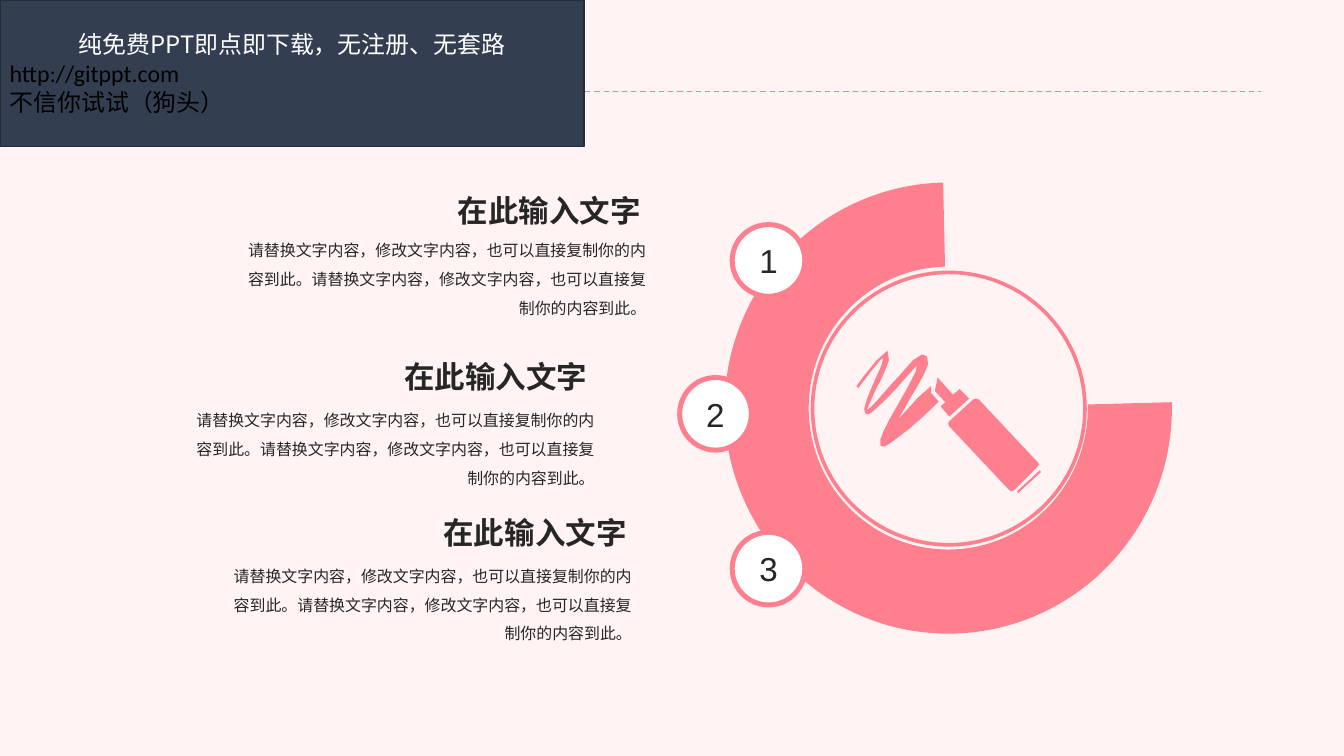
from lxml import etree
from pptx import Presentation
from pptx.dml.color import RGBColor
from pptx.enum.dml import MSO_LINE
from pptx.enum.shapes import MSO_CONNECTOR, MSO_SHAPE
from pptx.enum.text import MSO_ANCHOR, MSO_AUTO_SIZE, PP_ALIGN
from pptx.oxml.ns import qn
from pptx.util import Inches, Pt

BLUSH = RGBColor(0xFF, 0xF4, 0xF3)
CORAL = RGBColor(0xFE, 0x7F, 0x8D)
INK = RGBColor(0x26, 0x26, 0x26)
NAVY = RGBColor(0x33, 0x3F, 0x50)
NAVY_EDGE = RGBColor(0x23, 0x2C, 0x38)
WHITE = RGBColor(0xFF, 0xFF, 0xFF)
BLACK = RGBColor(0x00, 0x00, 0x00)

CJK_FONT = "Noto Sans CJK SC"
HEADING = "在此输入文字"
BODY = "请替换文字内容，修改文字内容，也可以直接复制你的内容到此。" * 2

BANNER_LINES = [
    ("纯免费PPT即点即下载，无注册、无套路", CJK_FONT, WHITE, PP_ALIGN.CENTER),
    ("http://gitppt.com", "Calibri", BLACK, PP_ALIGN.LEFT),
    ("不信你试试（狗头）", "Calibri", BLACK, PP_ALIGN.LEFT),
]
ITEMS = [
    ((4.69, 1.96), (2.41, 2.37)),
    ((4.13, 3.7), (1.87, 4.15)),
    ((4.54, 5.33), (2.26, 5.78)),
]
BADGES = [
    (0.08, 0.44, 0.76, 0.75),
    (-0.47, 2.04, 0.75, 0.76),
    (0.08, 3.66, 0.76, 0.76),
]

CURVE_STEPS = 4
SCRIBBLE = [
    (0, 61), (0, 61, 43, 0, 34, 34), (31, 42, 27, 53, 21, 63),
    (16, 74, 11, 85, 11, 86), (11, 86, 13, 85, 17, 81),
    (25, 73, 35, 60, 45, 50), (67, 21, 76, 24, 75, 38),
    (72, 50, 57, 71, 50, 85), (29, 117, 63, 70, 78, 61),
    (78, 68), (86, 77), (86, 77, 63, 102, 35, 121),
    (29, 125, 27, 125, 25, 123), (22, 118, 32, 100, 43, 81),
    (56, 59, 79, 17, 50, 54), (40, 66, 29, 77, 20, 85),
    (14, 91, 10, 92, 9, 89), (6, 86, 11, 74, 17, 60),
    (21, 50, 27, 40, 28, 32), (31, 24, 2, 63, 2, 63),
]
BARREL = [
    (97, 98), (122, 75), (125, 74), (128, 75), (190, 141), (191, 143),
    (189, 146), (165, 170), (162, 171), (160, 170), (97, 103), (96, 100),
]
TIP = [(85, 52), (82, 66), (93, 78), (88, 82),
       (97, 93), (118, 74), (108, 64), (101, 70)]
CAP = [(168, 171), (169, 173), (193, 151), (192, 149)]


def add_span(para, text, font, size, color, bold=False):
    """Add one formatted run to a paragraph."""
    span = para.add_run()
    span.text = text
    span.font.name = font
    span.font.size = Pt(size)
    span.font.bold = bold
    span.font.color.rgb = color
    east_asian = etree.Element(qn("a:ea"), typeface=CJK_FONT)
    span.font._element.find(qn("a:latin")).addnext(east_asian)


def add_text(page, box, text, size, bold=False, align=PP_ALIGN.LEFT, spacing=1.0):
    """Add a wrapped text box with one paragraph."""
    frame = page.shapes.add_textbox(*map(Inches, box)).text_frame
    frame.word_wrap = True
    frame.auto_size = MSO_AUTO_SIZE.SHAPE_TO_FIT_TEXT
    para = frame.paragraphs[0]
    para.alignment = align
    para.line_spacing = spacing
    add_span(para, text, "Arial", size, INK, bold)


def add_preset(page, kind, box, fill=None, edge=None):
    """Add a flat preset shape with an optional fill and coral edge width."""
    shape = page.shapes.add_shape(kind, *map(Inches, box))
    shape.shadow.inherit = False
    if fill is None:
        shape.fill.background()
    else:
        shape.fill.solid()
        shape.fill.fore_color.rgb = fill
    if edge is None:
        shape.line.fill.background()
    else:
        shape.line.color.rgb = CORAL
        shape.line.width = Pt(edge)
    return shape


def trace(steps):
    """Turn points and cubic curves into a list of outline points."""
    points = [steps[0]]
    for step in steps[1:]:
        if len(step) == 2:
            points.append(step)
            continue
        controls = [points[-1], step[:2], step[2:4], step[4:]]
        for index in range(1, CURVE_STEPS + 1):
            t = index / CURVE_STEPS
            weights = ((1 - t) ** 3, 3 * t * (1 - t) ** 2, 3 * t * t * (1 - t), t ** 3)
            points.append(tuple(
                sum(weight * point[axis] for weight, point in zip(weights, controls))
                for axis in (0, 1)))
    return points


def add_marker(page, left, top):
    """Draw the marker pen and its scribble from a top left corner."""
    outlines = [
        [(Inches(left + x / 100), Inches(top + y / 100)) for x, y in trace(steps)]
        for steps in (SCRIBBLE, BARREL, TIP, CAP)]
    builder = page.shapes.build_freeform(*outlines[0][0])
    builder.add_line_segments(outlines[0][1:], close=True)
    for outline in outlines[1:]:
        builder.move_to(*outline[0])
        builder.add_line_segments(outline[1:], close=True)
    marker = builder.convert_to_shape()
    marker.shadow.inherit = False
    marker.fill.solid()
    marker.fill.fore_color.rgb = CORAL
    marker.line.fill.background()


def add_badge(page, box, number):
    """Add a numbered white circle."""
    badge = add_preset(page, MSO_SHAPE.OVAL, box, WHITE, 3.75)
    badge.text_frame.vertical_anchor = MSO_ANCHOR.MIDDLE
    para = badge.text_frame.paragraphs[0]
    para.alignment = PP_ALIGN.CENTER
    add_span(para, str(number), "Arial", 25, INK)


def add_dial(page, left, top, width, height):
    """Draw the open ring, its inner circle, the marker and the badges."""
    ring = add_preset(page, MSO_SHAPE.BLOCK_ARC, (left, top, width, height), CORAL)
    degree = 0.6
    ring.adjustments[0] = 358.5 * degree
    ring.adjustments[1] = 268.7 * degree
    ring.adjustments[2] = 0.188
    add_preset(page, MSO_SHAPE.OVAL, (left + 0.92, top + 0.94, 2.85, 2.85), edge=2.75)
    add_marker(page, left + 1.38, top + 1.52)
    for number, (across, down, wide, high) in enumerate(BADGES, 1):
        add_badge(page, (left + across, top + down, wide, high), number)


def add_item(page, heading_at, body_at):
    """Add a heading with its right-aligned body text."""
    add_text(page, (*body_at, 4.45, 1), BODY, 12, align=PP_ALIGN.RIGHT, spacing=1.5)
    add_text(page, (*heading_at, 2.39, 0.49), HEADING, 23, bold=True)


def add_rule(page, left, top, right):
    """Add the dashed rule that runs out from behind the banner."""
    rule = page.shapes.add_connector(
        MSO_CONNECTOR.STRAIGHT, *map(Inches, (left, top, right, top)))
    rule.line.color.rgb = CORAL
    rule.line.width = Pt(1)
    rule.line.dash_style = MSO_LINE.DASH
    etree.SubElement(rule._element.spPr, qn("a:effectLst"))


def add_banner(page, left, top, width, height):
    """Format the title as a dark banner in front of the other parts."""
    banner = page.shapes.title
    banner.left, banner.top = Inches(left), Inches(top)
    banner.width, banner.height = Inches(width), Inches(height)
    banner.fill.solid()
    banner.fill.fore_color.rgb = NAVY
    banner.line.color.rgb = NAVY_EDGE
    banner.line.width = Pt(1)
    frame = banner.text_frame
    frame.word_wrap = True
    frame.auto_size = MSO_AUTO_SIZE.NONE
    frame.vertical_anchor = MSO_ANCHOR.MIDDLE
    for index, (text, font, color, align) in enumerate(BANNER_LINES):
        para = frame.add_paragraph() if index else frame.paragraphs[0]
        para.alignment = align
        add_span(para, text, font, 18, color)
    page.shapes._spTree.append(banner._element)


def main():
    """Build the slide and save the deck."""
    deck = Presentation()
    deck.slide_width, deck.slide_height = Inches(14.06), Inches(7.91)
    page = deck.slides.add_slide(deck.slide_layouts[5])
    page.background.fill.solid()
    page.background.fill.fore_color.rgb = BLUSH
    add_dial(page, 7.58, 1.91, 4.68, 4.72)
    for heading_at, body_at in ITEMS:
        add_item(page, heading_at, body_at)
    add_rule(page, 0.72, 0.96, 13.19)
    add_banner(page, 0, 0, 6.11, 1.53)
    deck.save("out.pptx")


if __name__ == "__main__":
    main()
